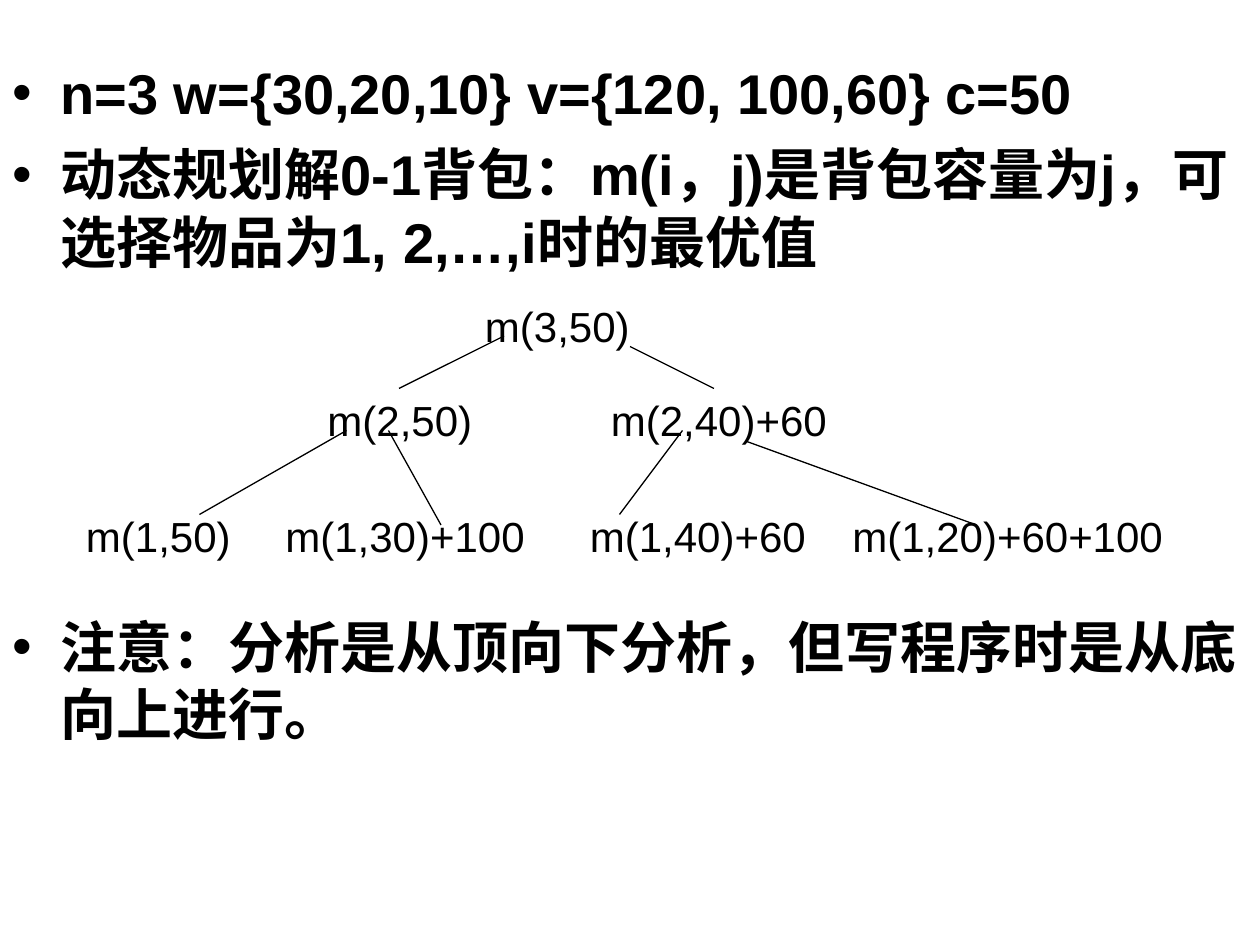
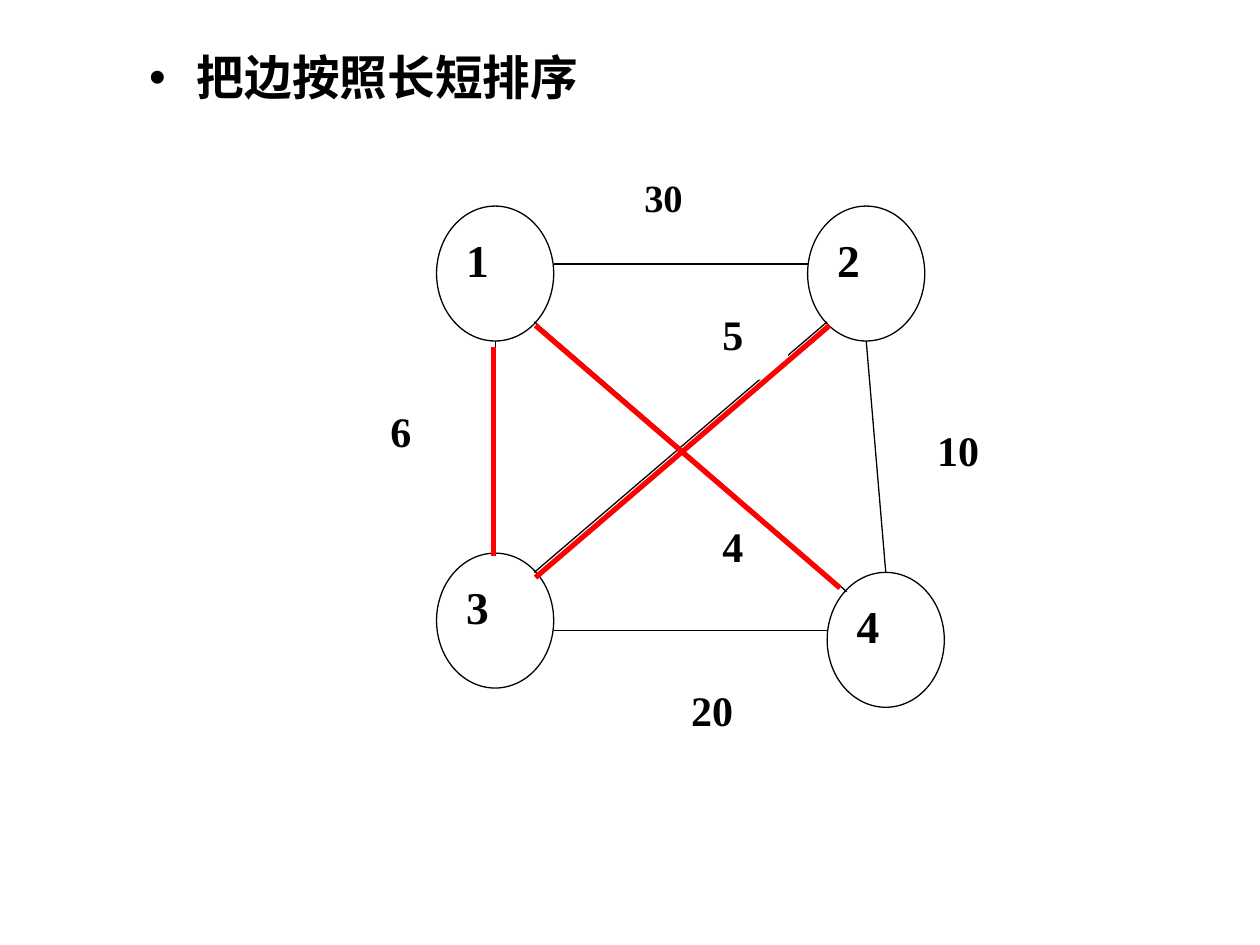
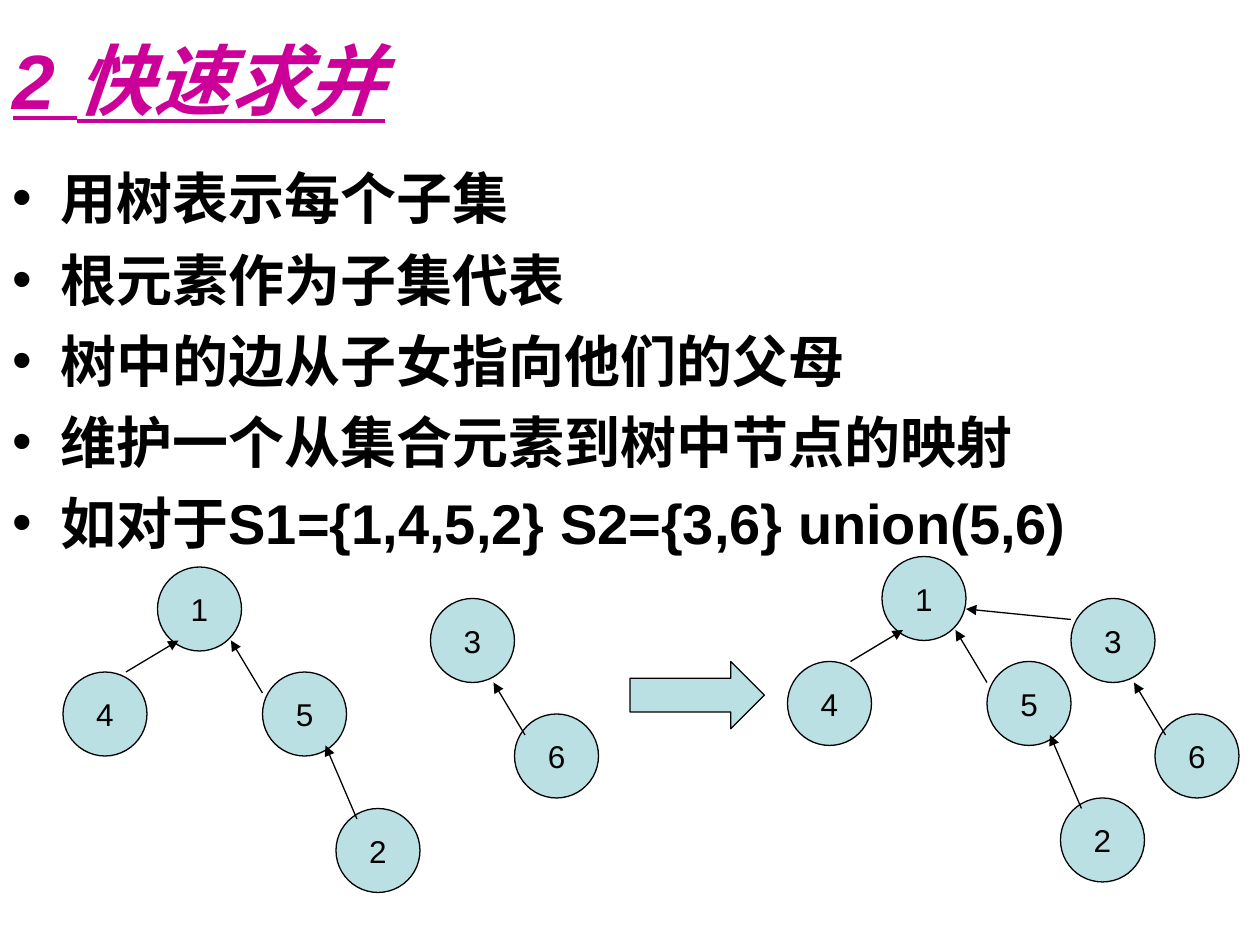
import pptx
import pptx.util
import pptx.dml.color
import pptx.enum.shapes
import pptx.enum.text
import pptx.oxml.xmlchemy

COLORS = {"ink": "000000", "paper": "FFFFFF", "title": "CC0099",
          "node": "BBE0E3", "chosen": "FF0000"}
SHAPES = pptx.enum.shapes.MSO_SHAPE
ALIGN = pptx.enum.text.PP_ALIGN
ANCHOR = pptx.enum.text.MSO_ANCHOR
WIDTH, HEIGHT = 10, 7.5
THIN, THICK = 0.75, 3


class Grid:
    def __init__(self, left, top, column, row):
        self.left, self.top, self.column, self.row = left, top, column, row

    def point(self, column, row):
        return (pptx.util.Inches(self.left + column * self.column),
                pptx.util.Inches(self.top + row * self.row))

    def box(self, column, row, columns, rows):
        return (*self.point(column, row),
                pptx.util.Inches(columns * self.column),
                pptx.util.Inches(rows * self.row))

    def shifted(self, columns, rows):
        return Grid(self.left + columns * self.column,
                    self.top + rows * self.row, self.column, self.row)


PAGE = Grid(0, 0, WIDTH / 120, HEIGHT / 90)
GRAPH = Grid(3, 1.33, 0.155, 0.153)


def rgb(name):
    return pptx.dml.color.RGBColor.from_string(COLORS[name])


def format_text(text_frame, size, font="Arial", bold=False, color="ink"):
    for paragraph in text_frame.paragraphs:
        for run in paragraph.runs:
            run.font.name = font
            run.font.size = pptx.util.Pt(size)
            run.font.bold = bold
            run.font.color.rgb = rgb(color)


def place(shape, box):
    shape.left, shape.top, shape.width, shape.height = box


def new_slide(presentation, title=None):
    slide = presentation.slides.add_slide(presentation.slide_layouts[1])
    heading = slide.shapes.title
    if title is None:
        heading.element.getparent().remove(heading.element)
        return slide
    place(heading, PAGE.box(0, 0, 120, 15))
    heading.text_frame.text = title
    heading.text_frame.vertical_anchor = ANCHOR.MIDDLE
    format_text(heading.text_frame, 44, bold=True, color="title")
    paragraph = heading.text_frame.paragraphs[0]
    paragraph.alignment = ALIGN.LEFT
    paragraph.runs[0].font.italic = True
    paragraph.runs[0].font.underline = True
    return slide


def fill_body(slide, box, lines, size=32):
    body = slide.placeholders[1]
    place(body, box)
    body.text_frame.text = "\n".join(lines)
    body.text_frame.auto_size = pptx.enum.text.MSO_AUTO_SIZE.NONE
    format_text(body.text_frame, size, bold=True)
    for paragraph in body.text_frame.paragraphs:
        paragraph.space_before = pptx.util.Pt(8)
        properties = paragraph._p.get_or_add_pPr()
        indent = pptx.util.Inches(0.38)
        properties.set("marL", str(indent))
        properties.set("indent", str(-indent))
    return body


def add_label(slide, box, text):
    label = slide.shapes.add_textbox(*box)
    label.text_frame.word_wrap = False
    label.text_frame.text = text
    format_text(label.text_frame, 24)


def add_figure(slide, kind, box, fill, outlined=True):
    figure = slide.shapes.add_shape(kind, *box)
    figure.shadow.inherit = False
    figure.fill.solid()
    figure.fill.fore_color.rgb = rgb(fill)
    if outlined:
        figure.line.color.rgb = rgb("ink")
        figure.line.width = pptx.util.Pt(THIN)
    else:
        figure.line.fill.background()
    return figure


def add_graph_text(figure, text, size):
    figure.text_frame.text = text
    figure.text_frame.vertical_anchor = ANCHOR.TOP
    figure.text_frame.paragraphs[0].alignment = ALIGN.LEFT
    format_text(figure.text_frame, size, "Times New Roman", True)


def add_set_node(slide, grid, column, row, text):
    node = add_figure(slide, SHAPES.OVAL, grid.box(column, row, 8, 8), "node")
    node.text_frame.word_wrap = False
    node.text_frame.text = text
    node.text_frame.vertical_anchor = ANCHOR.MIDDLE
    node.text_frame.paragraphs[0].alignment = ALIGN.CENTER
    format_text(node.text_frame, 18)


def add_edge(slide, grid, start, end, color="ink", width=THIN, arrow=False):
    edge = slide.shapes.add_connector(
        pptx.enum.shapes.MSO_CONNECTOR.STRAIGHT,
        *grid.point(*start), *grid.point(*end))
    edge.line.color.rgb = rgb(color)
    edge.line.width = pptx.util.Pt(width)
    if arrow:
        head = pptx.oxml.xmlchemy.OxmlElement("a:tailEnd")
        head.set("type", "triangle")
        edge.line._get_or_add_ln().append(head)
    edge._element.spPr.append(pptx.oxml.xmlchemy.OxmlElement("a:effectLst"))


def add_set_tree(slide, grid, nodes, edges):
    for node in nodes:
        add_set_node(slide, grid, *node)
    for start, end in edges:
        add_edge(slide, grid, start, end, arrow=True)


def build_knapsack(presentation):
    slide = new_slide(presentation)
    body = fill_body(slide, PAGE.box(0, 5, 120, 85), [
        "n=3 w={30,20,10} v={120, 100,60} c=50",
        "动态规划解0-1背包：m(i，j)是背包容量为j，可选择物品为1, 2,…,i时的最优值",
        "注意：分析是从顶向下分析，但写程序时是从底向上进行。"])
    body.text_frame.paragraphs[-1].space_before = pptx.util.Pt(193)
    for column, row, columns, text in [
            (45, 28, 16.2, "m(3,50)"),
            (30, 37, 16.2, "m(2,50)"), (57, 37, 23, "m(2,40)+60"),
            (7, 48, 16.2, "m(1,50)"), (26, 48, 26, "m(1,30)+100"),
            (55, 48, 23, "m(1,40)+60"), (80, 48, 35, "m(1,20)+60+100")]:
        add_label(slide, PAGE.box(column, row, columns, 6), text)
    for start, end in [((60, 33), (68, 37)), ((48, 32), (38, 37)),
                       ((33, 41), (19, 49)), ((37, 41), (42, 50)),
                       ((65, 41), (59, 49)), ((71, 42), (93, 50))]:
        add_edge(slide, PAGE, start, end)


def build_sorted_edges(presentation):
    slide = new_slide(presentation)
    fill_body(slide, PAGE.box(13, 4, 102, 7), ["把边按照长短排序"], 27.2)
    for column, row, text in [(3, 2, "1"), (3, 20, "3"),
                              (23, 21, "4"), (22, 2, "2")]:
        node = add_figure(slide, SHAPES.OVAL,
                          GRAPH.box(column, row, 6, 7), "paper")
        add_graph_text(node, text, 26)
    for start, end in [((9, 5), (22, 5)), ((6, 9), (6, 20)),
                       ((9, 24), (23, 24)), ((25, 9), (26, 21)),
                       ((8, 8), (24, 22)), ((8, 21), (23, 8))]:
        add_edge(slide, GRAPH, start, end)
    for column, row, columns, text, size in [
            (0, 12, 4, "6", 24), (28, 13, 8, "10", 24), (17, 7, 4, "5", 24),
            (13, 0, 5, "30", 22), (15.4, 26.5, 5, "20", 24),
            (17, 18, 3, "4", 24)]:
        weight = add_figure(slide, SHAPES.RECTANGLE,
                            GRAPH.box(column, row, columns, 4), "paper", False)
        add_graph_text(weight, text, size)
    for start, end in [((51, 31), (80, 56)), ((79, 31), (51, 55)),
                       ((47, 33), (47, 53))]:
        add_edge(slide, PAGE, start, end, "chosen", THICK)


def build_quick_union(presentation):
    slide = new_slide(presentation, "2 快速求并")
    fill_body(slide, PAGE.box(0, 15, 120, 75), [
        "用树表示每个子集", "根元素作为子集代表", "树中的边从子女指向他们的父母",
        "维护一个从集合元素到树中节点的映射",
        "如对于S1={1,4,5,2} S2={3,6} union(5,6)"])
    first_set = ([(15, 54, "1"), (6, 64, "4"), (25, 64, "5"), (32, 77, "2")],
                 [((12, 64), (17, 61)), ((25, 66), (22, 61)),
                  ((34, 78), (31, 71))])
    second_set = ([(41, 57, "3"), (49, 68, "6")], [((50, 70), (47, 65))])
    add_set_tree(slide, PAGE, *first_set)
    add_set_tree(slide, PAGE, *second_set)
    add_figure(slide, SHAPES.RIGHT_ARROW, PAGE.box(60, 63, 12.8, 6.4), "node")
    add_set_tree(slide, PAGE.shifted(69, -1), *first_set)
    add_set_tree(slide, PAGE.shifted(61, 0), *second_set)
    add_edge(slide, PAGE, (102, 59), (92, 58), arrow=True)


def main():
    presentation = pptx.Presentation()
    presentation.slide_width = pptx.util.Inches(WIDTH)
    presentation.slide_height = pptx.util.Inches(HEIGHT)
    build_knapsack(presentation)
    build_sorted_edges(presentation)
    build_quick_union(presentation)
    presentation.save("out.pptx")


if __name__ == "__main__":
    main()
